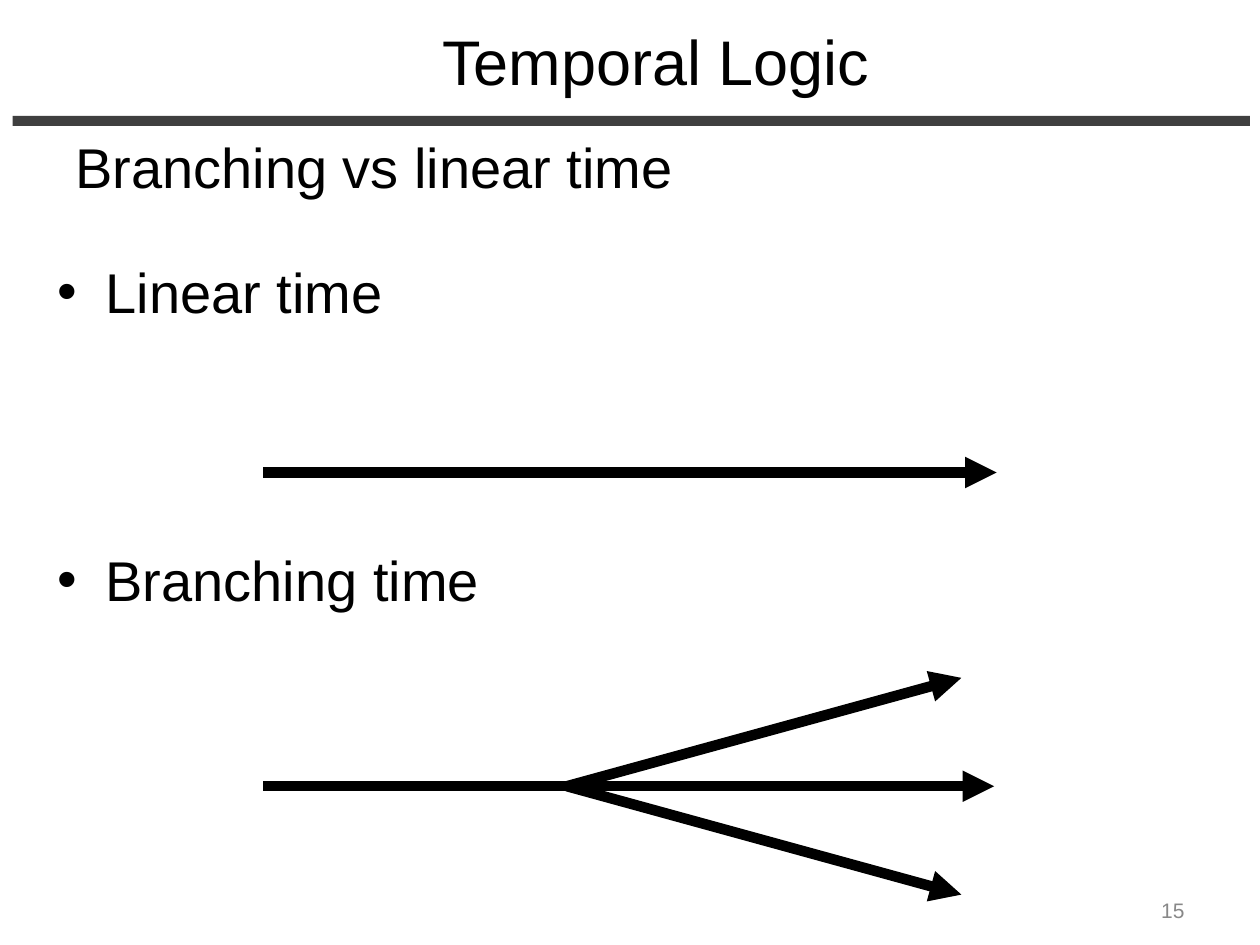
from dataclasses import dataclass

from lxml.etree import SubElement
from pptx import Presentation
from pptx.dml.color import RGBColor as Rgb
from pptx.enum.shapes import MSO_CONNECTOR as Connector, MSO_SHAPE as Shape
from pptx.enum.text import MSO_ANCHOR as Anchor, PP_ALIGN as Align
from pptx.oxml.ns import qn
from pptx.util import Inches, Pt


@dataclass(frozen=True)
class Theme:
    """Hold the colours, font and sizes of the slide."""
    font: str = "Arial"
    ink: Rgb = Rgb(0x00, 0x00, 0x00)
    rule: Rgb = Rgb(0x3F, 0x3F, 0x3F)
    muted: Rgb = Rgb(0x88, 0x88, 0x88)
    paper: Rgb = Rgb(0xFF, 0xFF, 0xFF)
    title: float = 36
    body: float = 32
    number: float = 12
    space_before: float = 6.4
    arrow: float = 6


THEME = Theme()


def add_text(slide, box, wording, size, color=THEME.ink, align=Align.LEFT,
             anchor=Anchor.MIDDLE, inset=0.05, space_before=0):
    """Add a one-paragraph text box and return its paragraph."""
    frame = slide.shapes.add_textbox(*map(Inches, box)).text_frame
    frame.word_wrap = True
    frame.vertical_anchor = anchor
    frame.margin_left = frame.margin_right = Inches(0.1)
    frame.margin_top = frame.margin_bottom = Inches(inset)
    paragraph = frame.paragraphs[0]
    paragraph.alignment = align
    paragraph.space_before = Pt(space_before)
    run = paragraph.add_run()
    run.text = wording
    run.font.name = THEME.font
    run.font.size = Pt(size)
    run.font.color.rgb = color
    return paragraph


def add_bullet(slide, box, wording):
    """Add a bulleted heading with a hanging indent."""
    paragraph = add_text(slide, box, wording, THEME.body, inset=0.1,
                         space_before=THEME.space_before)
    properties = paragraph._p.get_or_add_pPr()
    properties.set("marL", str(Inches(0.38)))
    properties.set("indent", str(Inches(-0.38)))
    SubElement(properties, qn("a:buFont"), typeface=THEME.font)
    SubElement(properties, qn("a:buChar"), char="•")


def add_rule(slide, box):
    """Add the bar under the title."""
    bar = slide.shapes.add_shape(Shape.RECTANGLE, *map(Inches, box))
    bar.shadow.inherit = False
    bar.fill.solid()
    bar.fill.fore_color.rgb = THEME.rule
    bar.line.fill.background()


def add_arrow(shapes, start, end):
    """Add a thick time arrow from start to end."""
    arrow = shapes.add_connector(Connector.STRAIGHT, *map(Inches, start + end))
    arrow.line.color.rgb = THEME.ink
    arrow.line.width = Pt(THEME.arrow)
    SubElement(arrow.line._get_or_add_ln(), qn("a:tailEnd"), type="triangle")
    SubElement(arrow._element.spPr, qn("a:effectLst"))


def add_branching_arrows(slide):
    """Add a grouped timeline that forks evenly up and down."""
    branches = slide.shapes.add_group_shape().shapes
    now, spread = 6.24, 0.86
    add_arrow(branches, (2.09, now), (7.89, now))
    for offset in (-spread, spread):
        add_arrow(branches, (4.5, now), (7.63, now + offset))


def main():
    """Build and save the slide."""
    deck = Presentation()
    deck.slide_width, deck.slide_height = Inches(10), Inches(7.5)
    slide = deck.slides.add_slide(deck.slide_layouts[6])
    slide.background.fill.solid()
    slide.background.fill.fore_color.rgb = THEME.paper

    add_rule(slide, (0.1, 0.92, 9.82, 0.08))
    add_text(slide, (0.5, 1, 9, 3.11), "Branching vs linear time", THEME.body,
             anchor=Anchor.TOP, space_before=THEME.space_before)
    add_text(slide, (1.58, 0.1, 7.25, 0.76), "Temporal Logic", THEME.title,
             align=Align.CENTER)
    add_text(slide, (7.17, 7.02, 2.33, 0.4), "15", THEME.number,
             color=THEME.muted, align=Align.RIGHT)
    add_bullet(slide, (0.36, 3.49, 10, 2.21), "Branching time")
    add_bullet(slide, (0.36, 1.03, 10, 2.56), "Linear time")
    add_arrow(slide.shapes, (2.09, 3.75), (7.91, 3.75))
    add_branching_arrows(slide)
    deck.save("out.pptx")


if __name__ == "__main__":
    main()
